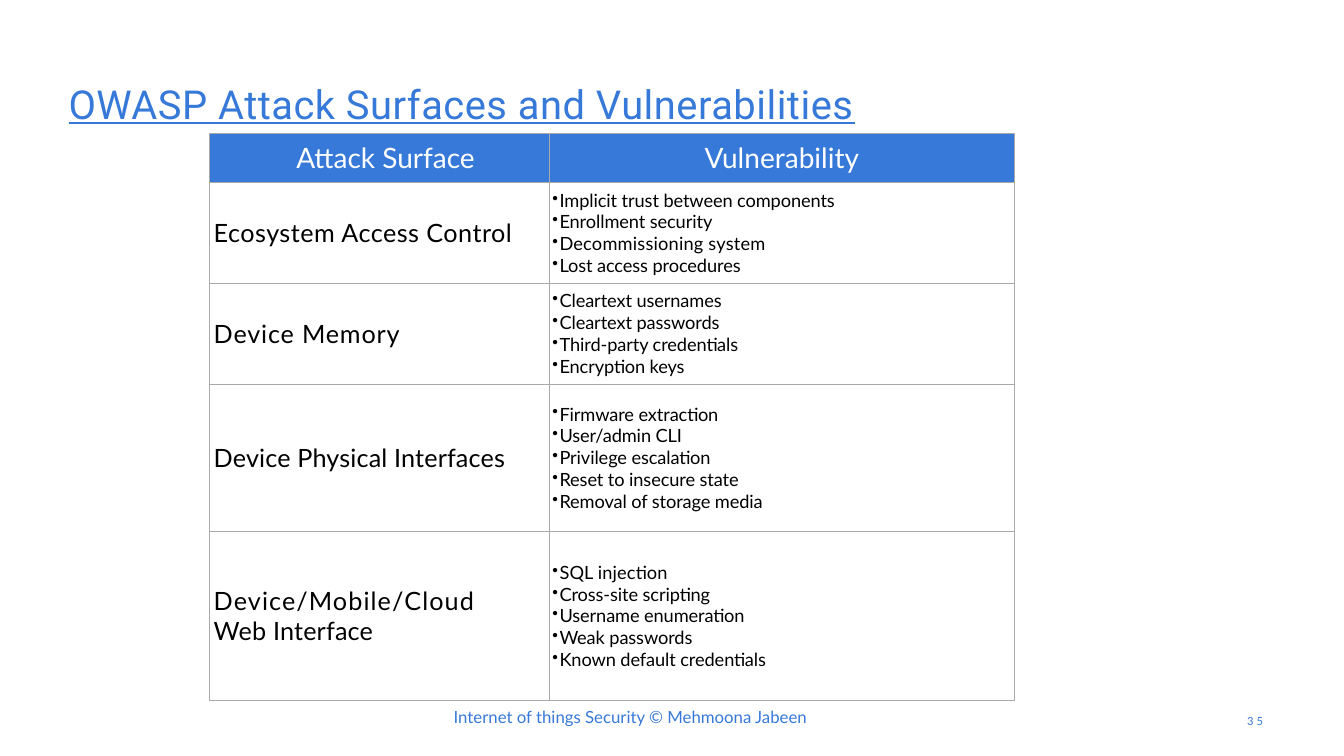
from dataclasses import dataclass

from lxml import etree
from pptx import Presentation
from pptx import util as u
from pptx.dml.color import RGBColor
from pptx.enum import text as t
from pptx.oxml import ns

BLUE, BLACK, WHITE, GREY = "3779D9", "000000", "FFFFFF", "AAAAAA"


@dataclass
class Style:
    size: float
    color: str
    font: str = "Lato"
    line: bool = False


@dataclass
class Label:
    words: str
    box: tuple[float, float, float, float]
    style: Style
    gap: float = 0


@dataclass
class Row:
    height: float
    surface: str
    gaps: list[float]  # letter spacing in points, one per line
    risks: list[str]


HEAD, NAME, RISK = Style(20, WHITE), Style(18, BLACK), Style(13, BLACK)

LABELS = [
    Label("OWASP Attack Surfaces and Vulnerabilities", (0.68, 0.79, 8.91, 0.46),
          Style(28.5, BLUE, "Roboto", True), 0.4),
    Label("Internet of things Security © Mehmoona Jabeen", (4.5, 7.01, 3.67, 0.21),
          Style(12, BLUE)),
    Label("3 5", (12.37, 7.09, 0.26, 0.14), Style(8, BLUE)),
]

TITLES = ["Attack Surface", "Vulnerability"]
WIDTHS = [3.37, 4.61]
HEAD_HIGH = 0.49
ROWS = [
    Row(1, "Ecosystem Access Control", [0.35],
        ["Implicit trust between components", "Enrollment security",
         "Decommissioning system", "Lost access procedures"]),
    Row(1, "Device Memory", [0.6],
        ["Cleartext usernames", "Cleartext passwords",
         "Third-party credentials", "Encryption keys"]),
    Row(1.46, "Device Physical Interfaces", [0.12],
        ["Firmware extraction", "User/admin CLI", "Privilege escalation",
         "Reset to insecure state", "Removal of storage media"]),
    Row(1.68, "Device/Mobile/Cloud\vWeb Interface", [0.8, 0.15],
        ["SQL injection", "Cross-site scripting", "Username enumeration",
         "Weak passwords", "Known default credentials"]),
]
WIDE = {"Decommissioning system": 0.17, "SQL injection": 0.1}


def paint(code: str) -> RGBColor:
    return RGBColor.from_string(code)


def dress(run, style: Style, gap: float = 0) -> None:
    font = run.font
    font.name, font.size = style.font, u.Pt(style.size)
    font.color.rgb = paint(style.color)
    font.bold = False
    if style.line:
        font.underline = True
    if gap:
        run._r.get_or_add_rPr().set("spc", str(round(gap * 100)))


def add_label(slide, label: Label) -> None:
    frame = slide.shapes.add_textbox(*map(u.Inches, label.box)).text_frame
    frame.word_wrap = True
    frame.margin_left = frame.margin_right = 0
    frame.margin_top = frame.margin_bottom = 0
    frame.text = label.words
    dress(frame.paragraphs[0].runs[0], label.style, label.gap)


def add_dot(para) -> None:
    props = para._p.get_or_add_pPr()
    props.set("marL", str(u.Inches(0.1)))
    props.set("indent", str(u.Inches(-0.07)))
    etree.SubElement(props, ns.qn("a:buSzPct")).set("val", "92000")
    etree.SubElement(props, ns.qn("a:buChar")).set("char", "•")


def add_edges(cell) -> None:
    props = cell._tc.get_or_add_tcPr()
    for place, side in enumerate("LRTB"):
        edge = etree.Element(ns.qn(f"a:ln{side}"), w=str(u.Pt(0.75)))
        fill = etree.SubElement(edge, ns.qn("a:solidFill"))
        etree.SubElement(fill, ns.qn("a:srgbClr")).set("val", GREY)
        props.insert(place, edge)


def set_cell(cell, lines: list[str], left: float = 0, fill: str = ""):
    cell.margin_left = u.Inches(left)
    cell.margin_right = cell.margin_top = cell.margin_bottom = 0
    cell.vertical_anchor = t.MSO_ANCHOR.MIDDLE
    if fill:
        cell.fill.solid()
        cell.fill.fore_color.rgb = paint(fill)
    else:
        cell.fill.background()
    add_edges(cell)
    cell.text_frame.text = "\n".join(lines)
    return cell.text_frame.paragraphs


def add_grid(slide) -> None:
    highs = [HEAD_HIGH] + [row.height for row in ROWS]
    grid = slide.shapes.add_table(
        len(highs), len(WIDTHS), u.Inches(2.08), u.Inches(1.32),
        u.Inches(sum(WIDTHS)), u.Inches(sum(highs))).table
    grid.first_row = grid.horz_banding = False
    for col, width in zip(grid.columns, WIDTHS):
        col.width = u.Inches(width)
    for row, high in zip(grid.rows, highs):
        row.height = u.Inches(high)

    # Header row
    for col, (title, left) in enumerate(zip(TITLES, [0.12, 0])):
        para = set_cell(grid.cell(0, col), [title], left, BLUE)[0]
        para.alignment = t.PP_ALIGN.CENTER
        dress(para.runs[0], HEAD)

    # Surfaces and their risks
    for num, row in enumerate(ROWS, 1):
        para = set_cell(grid.cell(num, 0), [row.surface], 0.04)[0]
        for run, gap in zip(para.runs, row.gaps):
            dress(run, NAME, gap)
        for para in set_cell(grid.cell(num, 1), row.risks):
            add_dot(para)
            dress(para.runs[0], RISK, WIDE.get(para.text, -0.05))


def main() -> None:
    deck = Presentation()
    deck.slide_width, deck.slide_height = u.Inches(13.33), u.Inches(7.5)
    slide = deck.slides.add_slide(deck.slide_layouts[6])
    for label in LABELS:
        add_label(slide, label)
    add_grid(slide)
    deck.save("out.pptx")


if __name__ == "__main__":
    main()
